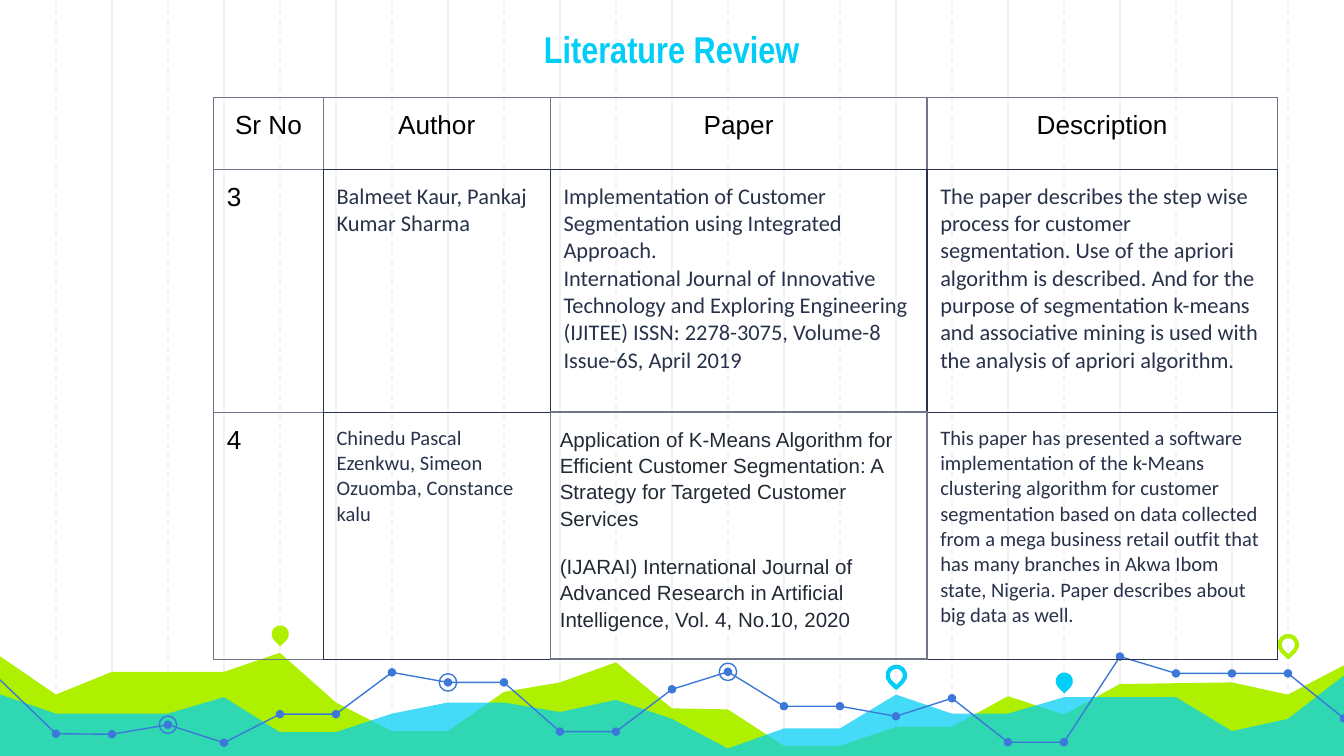
import pptx
import pptx.dml.color
import pptx.enum.dml
import pptx.enum.shapes
import pptx.enum.text
import pptx.oxml.ns
import pptx.util
from lxml import etree

Cm = pptx.util.Cm
Pt = pptx.util.Pt
qn = pptx.oxml.ns.qn
SHAPE = pptx.enum.shapes.MSO_SHAPE
ALIGN = pptx.enum.text.PP_ALIGN
ANCHOR = pptx.enum.text.MSO_ANCHOR

LIME, CYAN, BLUE = "AFF000", "00CEF6", "3C78D8"
NAVY, GREY, BLACK, INK = "28324A", "707685", "000000", "222A35"
STEP = 25.4 / 24  # the background grid has 24 columns


def rgb(code):
    return pptx.dml.color.RGBColor.from_string(code)


def paint(shape, fill=None, line=None, width=0.75):
    shape.shadow.inherit = False
    if fill:
        shape.fill.solid()
        shape.fill.fore_color.rgb = rgb(fill)
    else:
        shape.fill.background()
    if line:
        shape.line.color.rgb = rgb(line)
        shape.line.width = Pt(width)
    else:
        shape.line.fill.background()


deck = pptx.Presentation()
deck.slide_width, deck.slide_height = Cm(25.4), Cm(14.29)
slide = deck.slides.add_slide(deck.slide_layouts[6])
shapes = slide.shapes

# Vertical grid: solid lines on even columns, dashed on odd ones
for column in [*range(2, 24, 2), *range(1, 24, 2)]:
    x = Cm(column * STEP)
    grid_line = shapes.add_connector(
        pptx.enum.shapes.MSO_CONNECTOR.STRAIGHT, x, 0, x, Cm(14.35))
    grid_line.line.color.rgb = rgb("F3F3F3")
    grid_line.line.width = Pt(0.75)
    if column % 2:
        grid_line.line.dash_style = pptx.enum.dml.MSO_LINE.DASH
    etree.SubElement(grid_line._element.spPr, qn("a:effectLst"))

# Hills: height at each grid column
lime_hill = {0: 12.37, 1: 13.13, 2: 12.7, 4: 12.7, 5: 12.34, 6: 13.28, 7: 13.82,
             8: 13.82, 9: 13.08, 10: 12.9, 11: 12.52, 12: 13.39, 13: 13.41,
             14: 14.1, 15: 14.1, 16: 13.74, 17: 13.74, 18: 13.16, 19: 13.51,
             20: 12.93, 22: 12.9, 23: 13.13, 24: 12.55}
cyan_hill = {0: 13.11, 1: 13.49, 3: 13.49, 4: 13.18, 5: 13.84, 6: 13.84, 7: 13.49,
             8: 13.28, 9: 13.28, 10: 13.46, 11: 13.23, 12: 13.59, 13: 14.15,
             14: 13.77, 15: 13.77, 16: 13.13, 17: 13.49, 18: 13.49, 19: 13.18,
             21: 13.18, 22: 13.82, 23: 13.59, 24: 12.73}
for heights, color, opacity in [(lime_hill, LIME, 100), (cyan_hill, CYAN, 73)]:
    ridge = [(Cm(column * STEP), Cm(y)) for column, y in heights.items()]
    outline = shapes.build_freeform(Cm(-0.08), Cm(14.35))
    outline.add_line_segments([(Cm(-0.05), ridge[0][1]), *ridge[1:-1],
                               (Cm(25.45), ridge[-1][1]), (Cm(25.45), Cm(14.35))])
    hill = outline.convert_to_shape()
    paint(hill, fill=color)
    if opacity < 100:
        tint = hill._element.spPr.find(qn("a:solidFill"))[0]
        etree.SubElement(tint, qn("a:alpha"), val=str(opacity * 1000))

# Map pins: column, centre height, fill, line
for column, y, fill, line in [(5, 11.98, LIME, None), (16, 12.76, None, CYAN),
                              (19, 12.87, CYAN, None), (23, 12.18, None, LIME)]:
    pin = shapes.add_shape(SHAPE.TEAR, Cm(column * STEP - 0.16), Cm(y - 0.16),
                           Cm(0.33), Cm(0.33))
    pin.rotation = 135
    paint(pin, fill, line, 2.25)

# Trend line in three stretches, with a dot per column and three rings
trend = [12.85, 13.87, 13.88, 13.7, 14.04, 13.5, 13.5, 12.71, 12.9, 12.9, 13.83, 13.83,
         13.03, 12.7, 13.35, 13.35, 13.54, 13.2, 14.03, 14.03, 12.41, 12.73, 12.73,
         12.73, 13.58]
points = [(Cm(column * STEP), Cm(y)) for column, y in enumerate(trend)]
for first, last in [(0, 11), (11, 20), (20, 24)]:
    stretch = shapes.build_freeform(*points[first])
    stretch.add_line_segments(points[first + 1:last + 1], close=False)
    paint(stretch.convert_to_shape(), line=BLUE)

dots = [(column, 0.16, BLUE, None) for column in range(1, 25)]
rings = [(column, 0.33, None, BLUE) for column in (3, 8, 13)]
for column, size, fill, line in dots + rings:
    x, y = points[column]
    marker = shapes.add_shape(SHAPE.OVAL, x - Cm(size / 2), y - Cm(size / 2),
                              Cm(size), Cm(size))
    paint(marker, fill, line)

# Title
title = shapes.add_textbox(Cm(0.86), 0, Cm(23.67), Cm(1.6)).text_frame
title.word_wrap = True
title.vertical_anchor = ANCHOR.BOTTOM
title.margin_left = title.margin_right = title.margin_top = title.margin_bottom = Cm(0.25)
title.paragraphs[0].alignment = ALIGN.CENTER
heading = title.paragraphs[0].add_run()
heading.text = "Literature Review"
heading.font.name, heading.font.size, heading.font.bold = "Arial Narrow", Pt(20), True
heading.font.color.rgb = rgb(CYAN)

# Review table: each cell has its paragraphs, text style and border keys (left, right, top, bottom)
plain = ("Arial", 14, BLACK)
body = ("Calibri", 12, NAVY)
small = ("Calibri", 11, NAVY)
journal = ("Arial", 11, INK)
borders = {"g": (GREY, 0.75), "G": (GREY, 1), "n": (NAVY, 0.75)}
review = [
    [([name], plain, "gggg") for name in ("Sr No", "Author", "Paper", "Description")],
    [(["3"], plain, "gngg"),
     (["Balmeet Kaur, Pankaj Kumar Sharma"], body, "nnnn"),
     (["Implementation of Customer Segmentation using Integrated Approach.",
       "International Journal of Innovative Technology and Exploring Engineering "
       "(IJITEE) ISSN: 2278-3075, Volume-8 Issue-6S, April 2019"], body, "nnnG"),
     (["The paper describes the step wise process for customer segmentation. Use of the "
       "apriori algorithm is described. And for the purpose of segmentation k-means and "
       "associative mining is used with the analysis of apriori algorithm."], body, "nnnn")],
    [(["4"], plain, "gngg"),
     (["Chinedu Pascal Ezenkwu, Simeon Ozuomba, Constance kalu"], small, "nGnn"),
     (["Application of K-Means Algorithm for Efficient Customer Segmentation: A Strategy "
       "for Targeted Customer Services",
       "(IJARAI) International Journal of Advanced Research in Artificial Intelligence, "
       "Vol. 4, No.10, 2020"], journal, "GGGG"),
     (["This paper has presented a software implementation of the k-Means clustering "
       "algorithm for customer segmentation based on data collected from a mega business "
       "retail outfit that has many branches in Akwa Ibom state, Nigeria. Paper describes "
       "about big data as well."], small, "Gnnn")],
]
widths, heights = [2.07, 4.29, 7.12, 6.62], [1.37, 4.58, 4.65]
table = shapes.add_table(3, 4, Cm(4.04), Cm(1.84), Cm(sum(widths)), Cm(sum(heights))).table
table.first_row = table.horz_banding = False
for column, width in zip(table.columns, widths):
    column.width = Cm(width)
for row, height in zip(table.rows, heights):
    row.height = Cm(height)

for r, entries in enumerate(review):
    for c, (paragraphs, style, edges) in enumerate(entries):
        cell = table.cell(r, c)
        cell.margin_top = cell.margin_bottom = Cm(0.25)
        cell.margin_left = cell.margin_right = Cm(0.18 if style is journal else 0.25)
        properties = cell._tc.get_or_add_tcPr()
        for side, key in zip("LRTB", edges):
            color, width = borders[key]
            edge = etree.SubElement(properties, qn("a:ln" + side), w=str(Pt(width)))
            solid = etree.SubElement(edge, qn("a:solidFill"))
            etree.SubElement(solid, qn("a:srgbClr"), val=color)
        cell.fill.background()
        for i, text in enumerate(paragraphs):
            frame = cell.text_frame
            paragraph = frame.add_paragraph() if i else frame.paragraphs[0]
            paragraph.alignment = ALIGN.LEFT if r else ALIGN.CENTER
            if style is journal:
                paragraph.line_spacing, paragraph.space_before = 1.15, Pt(12)
            run = paragraph.add_run()
            run.text = text
            run.font.name, run.font.size = style[0], Pt(style[1])
            run.font.color.rgb = rgb(style[2])

deck.save("out.pptx")
